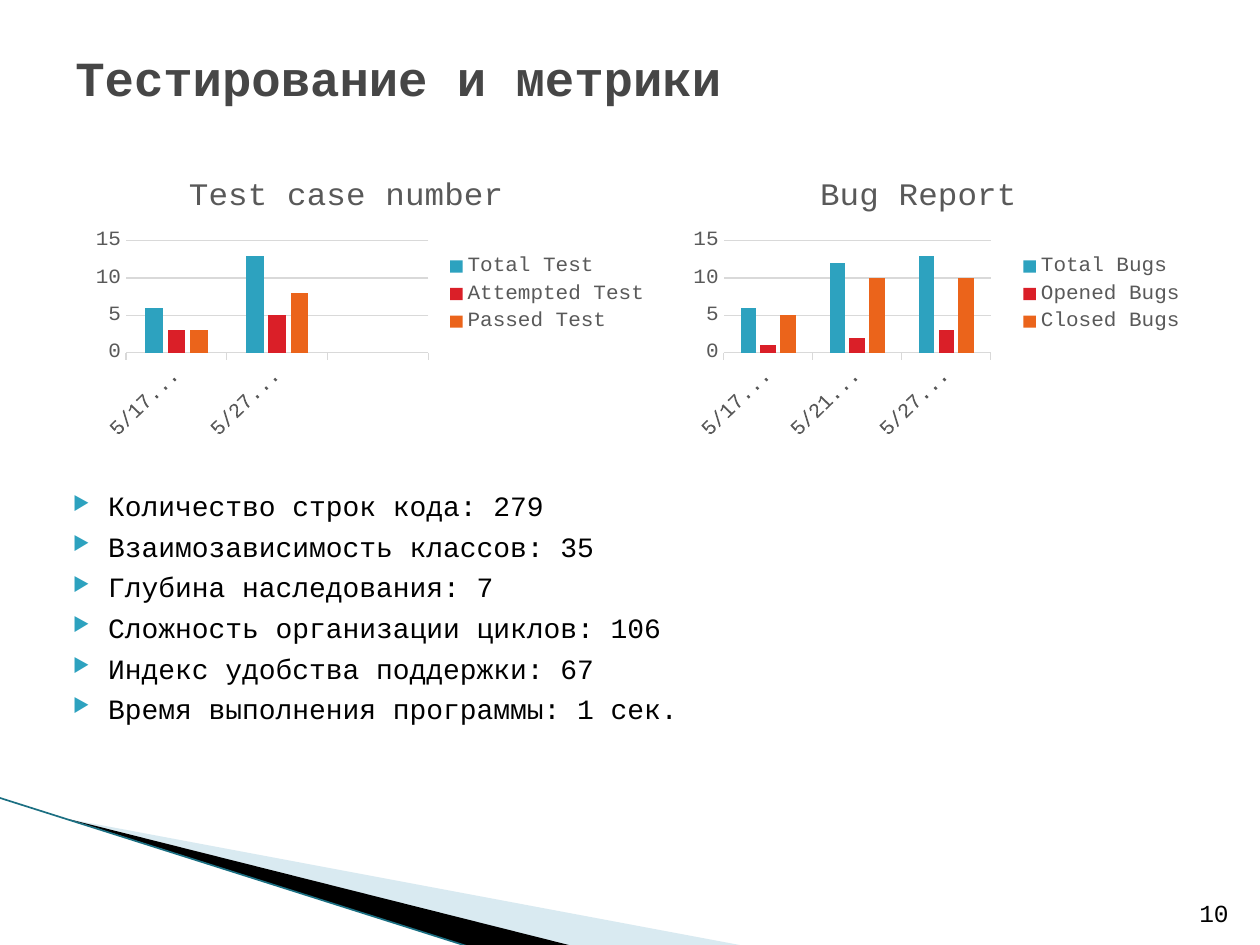
from lxml.etree import SubElement
from pptx import Presentation
from pptx.chart.data import CategoryChartData
from pptx.dml.color import RGBColor
from pptx.enum.chart import XL_CHART_TYPE, XL_LEGEND_POSITION, XL_TICK_MARK
from pptx.enum.text import MSO_ANCHOR, PP_ALIGN
from pptx.oxml.ns import qn
from pptx.util import Pt

FONT = "Courier New"
BLACK = RGBColor(0x00, 0x00, 0x00)
TITLE_GRAY = RGBColor(0x46, 0x46, 0x46)
CHART_GRAY = RGBColor(0x59, 0x59, 0x59)
GRID_GRAY = RGBColor(0xD9, 0xD9, 0xD9)
TEAL = RGBColor(0x2D, 0xA2, 0xBF)
RED = RGBColor(0xDA, 0x1F, 0x28)
ORANGE = RGBColor(0xEB, 0x64, 0x1B)
PALE_BLUE = RGBColor(0xA0, 0xCB, 0xDC)
EDGE_TEAL = RGBColor(0x1B, 0x6F, 0x82)

METRICS = [
    "Количество строк кода: 279",
    "Взаимозависимость классов: 35",
    "Глубина наследования: 7",
    "Сложность организации циклов: 106",
    "Индекс удобства поддержки: 67",
    "Время выполнения программы: 1 сек.",
]


def style_font(font, size, color, bold=False):
    font.name, font.size, font.bold = FONT, Pt(size), bold
    font.color.rgb = color


def add_run(paragraph, text, size, color, bold=False):
    run = paragraph.add_run()
    run.text = text
    style_font(run.font, size, color, bold)


def add_frame(slide, box, anchor):
    frame = slide.shapes.add_textbox(*map(Pt, box)).text_frame
    frame.word_wrap = True
    frame.vertical_anchor = anchor
    frame.margin_top = frame.margin_bottom = Pt(3.6)
    frame.margin_left = frame.margin_right = Pt(7.2)
    return frame


def add_wedge(slide, points, color, opacity=100):
    corners = [(Pt(x), Pt(y)) for x, y in points]
    builder = slide.shapes.build_freeform(*corners[0])
    builder.add_line_segments(corners[1:], close=True)
    wedge = builder.convert_to_shape()
    wedge.shadow.inherit = False
    wedge.fill.solid()
    wedge.fill.fore_color.rgb = color
    wedge.line.fill.background()
    if opacity < 100:
        srgb = wedge.fill._xPr.find(".//" + qn("a:srgbClr"))
        SubElement(srgb, qn("a:alpha"), val=str(opacity * 1000))


def add_corner_decoration(slide, box):
    left, top, width, height = box
    bottom = top + height
    # Pale and black wedges, fanning out from one tip
    tip = (left + 39, top + 12)
    add_wedge(slide, [tip, (left + width, bottom), (left + 328, bottom)], PALE_BLUE, 40)
    add_wedge(slide, [tip, (left + 329, bottom), (left + 268, bottom)], BLACK)
    # Edge line
    edge = slide.shapes.add_connector(1, Pt(left), Pt(top), Pt(left + 268), Pt(bottom))
    edge.line.color.rgb = EDGE_TEAL
    edge.line.width = Pt(0.95)
    SubElement(edge._element.spPr, qn("a:effectLst"))


def add_title(slide, box):
    frame = add_frame(slide, box, MSO_ANCHOR.MIDDLE)
    add_run(frame.paragraphs[0], "Тестирование и метрики", 28, TITLE_GRAY, True)


def add_page_number(slide, box):
    frame = add_frame(slide, box, MSO_ANCHOR.BOTTOM)
    frame.paragraphs[0].alignment = PP_ALIGN.RIGHT
    add_run(frame.paragraphs[0], "10", 14, BLACK)


def set_plot_area(chart, x, y, w, h):
    plot_area = chart._chartSpace.chart.plotArea
    layout = plot_area.find(qn("c:layout"))
    if layout is None:
        layout = SubElement(plot_area, qn("c:layout"))
        plot_area.insert(0, layout)
    manual = SubElement(layout, qn("c:manualLayout"))
    settings = {"layoutTarget": "inner", "xMode": "edge", "yMode": "edge",
                "x": x, "y": y, "w": w, "h": h}
    for tag, value in settings.items():
        SubElement(manual, qn("c:" + tag), val=str(value))


def add_column_chart(slide, box, title, dates, series_values):
    data = CategoryChartData()
    data.categories = dates
    for name, values in series_values.items():
        data.add_series(name, values)
    chart = slide.shapes.add_chart(
        XL_CHART_TYPE.COLUMN_CLUSTERED, *map(Pt, box), data).chart
    style_font(chart.font, 10, BLACK)
    chart.has_title = True
    add_run(chart.chart_title.text_frame.paragraphs[0], title, 18.6, CHART_GRAY)
    chart.chart_title.include_in_layout = False
    set_plot_area(chart, 0.15, 0.305, 0.48, 0.41)

    # Columns
    plot = chart.plots[0]
    plot.vary_by_categories = False
    plot.gap_width, plot.overlap = 219, -27
    for series, color in zip(plot.series, (TEAL, RED, ORANGE)):
        series.format.fill.solid()
        series.format.fill.fore_color.rgb = color

    # Axes
    date_axis, count_axis = chart.category_axis, chart.value_axis
    for axis in (date_axis, count_axis):
        style_font(axis.tick_labels.font, 12, CHART_GRAY)
    date_axis.major_tick_mark = XL_TICK_MARK.OUTSIDE
    date_axis.format.line.color.rgb = GRID_GRAY
    date_axis.format.line.width = Pt(0.75)
    date_axis._element.txPr.bodyPr.set("rot", "-2700000")
    count_axis.minimum_scale, count_axis.maximum_scale = 0, 15
    count_axis.major_unit = 5
    count_axis.major_tick_mark = XL_TICK_MARK.NONE
    count_axis.format.line.fill.background()
    count_axis.major_gridlines.format.line.color.rgb = GRID_GRAY
    count_axis.major_gridlines.format.line.width = Pt(0.75)

    # Legend
    chart.has_legend = True
    chart.legend.position = XL_LEGEND_POSITION.RIGHT
    chart.legend.include_in_layout = False
    style_font(chart.legend.font, 12, CHART_GRAY)


def add_metrics_list(slide, box):
    frame = add_frame(slide, box, MSO_ANCHOR.TOP)
    for index, metric in enumerate(METRICS):
        line = frame.add_paragraph() if index else frame.paragraphs[0]
        line.space_before = Pt(4)
        props = line._p.get_or_add_pPr()
        props.set("marL", str(Pt(28.8)))
        props.set("indent", str(Pt(-20.16)))
        bullet_color = SubElement(props, qn("a:buClr"))
        SubElement(bullet_color, qn("a:srgbClr"), val=str(TEAL))
        SubElement(props, qn("a:buSzPct"), val="68000")
        SubElement(props, qn("a:buChar"), char="▶")
        add_run(line, metric, 16, BLACK)


def main():
    deck = Presentation()
    deck.slide_width, deck.slide_height = Pt(720), Pt(540)
    slide = deck.slides.add_slide(deck.slide_layouts[6])
    add_corner_decoration(slide, (0, 456, 428, 85))
    add_title(slide, (36, 21.6, 648, 44.64))
    add_page_number(slide, (671.76, 504.72, 37.44, 28.8))
    add_column_chart(
        slide, (18, 90, 360, 162), "Test case number",
        ["5/17/2018", "5/27/2018", ""],
        {"Total Test": (6, 13, None), "Attempted Test": (3, 5, None),
         "Passed Test": (3, 8, None)})
    add_column_chart(
        slide, (365.76, 90, 318.24, 162), "Bug Report",
        ["5/17/2018", "5/21/2018", "5/27/2018"],
        {"Total Bugs": (6, 12, 13), "Opened Bugs": (1, 2, 3),
         "Closed Bugs": (5, 10, 10)})
    add_metrics_list(slide, (25.92, 275.76, 573.84, 185.76))
    deck.save("out.pptx")


if __name__ == "__main__":
    main()
